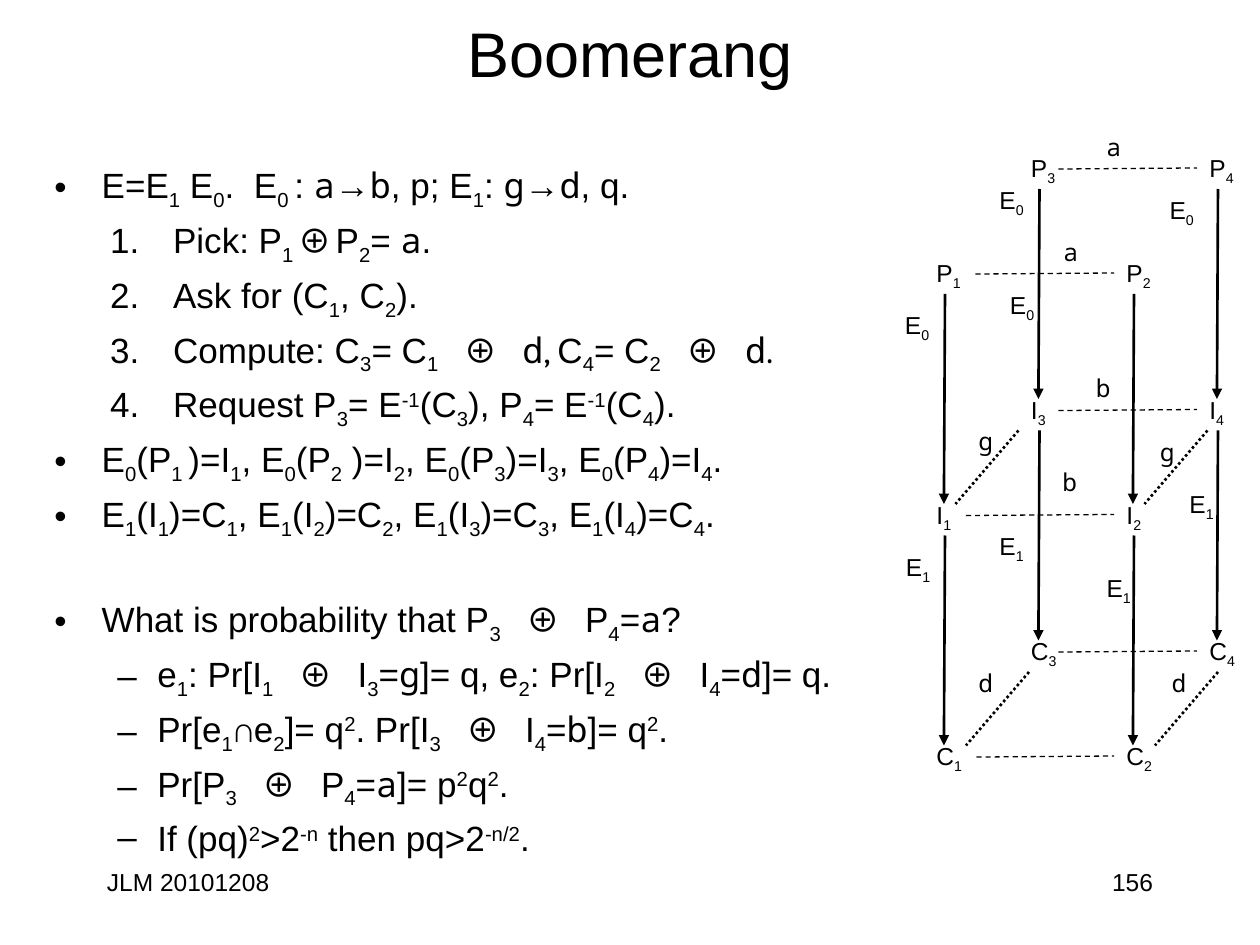
"""Build the Boomerang attack slide."""
import dataclasses

import lxml.etree
import pptx
import pptx.dml.color
import pptx.enum.dml
import pptx.enum.shapes
import pptx.enum.text
import pptx.oxml.ns
import pptx.util


@dataclasses.dataclass(frozen=True)
class Theme:
    ink: pptx.dml.color.RGBColor = pptx.dml.color.RGBColor(0, 0, 0)
    sans: str = "Arial"
    mono: str = "Noto Sans Mono"
    serif: str = "Cambria"
    head: int = 36
    body: int = 20
    small: int = 14


theme = Theme()
px = 7620
qn = pptx.oxml.ns.qn
align = pptx.enum.text.PP_ALIGN
dash = pptx.enum.dml.MSO_LINE

deck = pptx.Presentation()
deck.slide_width, deck.slide_height = 1200 * px, 900 * px
slide = deck.slides.add_slide(deck.slide_layouts[5])
shapes = slide.shapes


def write(para, text, size):
    """Fill a paragraph: _ lowers, ^ raises, ~ is mono, % is serif."""
    fonts = {"~": theme.mono, "%": theme.serif}
    shifts = {"_": "-25000", "^": "30000"}
    for part in text.split("|"):
        mark = part[0] if part[0] in "_^~%" else ""
        run = para.add_run()
        run.text = part[len(mark):]
        run.font.name = fonts.get(mark, theme.sans)
        run.font.size = pptx.util.Pt(size)
        run.font.color.rgb = theme.ink
        if mark in shifts:
            run.font._element.set("baseline", shifts[mark])


def draw(x1, y1, x2, y2, width, style=None, arrow=False):
    """Draw a plain, dashed or arrowed line."""
    line = shapes.add_connector(pptx.enum.shapes.MSO_CONNECTOR.STRAIGHT,
                                x1 * px, y1 * px, x2 * px, y2 * px)
    line.line.color.rgb = theme.ink
    line.line.width = pptx.util.Pt(width)
    if style:
        line.line.dash_style = style
    props = line.element.spPr
    if arrow:
        lxml.etree.SubElement(props.find(qn("a:ln")), qn("a:tailEnd"), type="triangle")
    lxml.etree.SubElement(props, qn("a:effectLst"))


title = shapes.title
title.left, title.top, title.width, title.height = 90 * px, 0, 1020 * px, 100 * px
title.text_frame.vertical_anchor = pptx.enum.text.MSO_ANCHOR.MIDDLE
title.text_frame.paragraphs[0].alignment = align.CENTER
write(title.text_frame.paragraphs[0], "Boomerang", theme.head)

kinds = {
    "dot": (0, 45, 45, "a:buChar", {"char": "•"}),
    "step": (1, 113, 60, "a:buAutoNum", {"type": "arabicPeriod"}),
    "sub": (1, 98, 38, "a:buChar", {"char": "–"}),
}
lines = [
    ("dot", "E=E|_1| E|_0|.  E|_0 |: |~a|→|~b|, p; E|_1|: |~g|→|~d|, q."),
    ("step", "Pick: P|_1|~⊕|P|_2|= |~a|."),
    ("step", "Ask for (C|_1|, C|_2|)."),
    ("step", "Compute: C|_3|= C|_1|~ ⊕ d|%, |C|_4|= C|_2|~ ⊕ d|%."),
    ("step", "Request P|_3|= E|^-1|(C|_3|), P|_4|= E|^-1|(C|_4|)."),
    ("dot", "E|_0|(P|_1 |)=I|_1|, E|_0|(P|_2| )=I|_2|, E|_0|(P|_3|)=I|_3|, E|_0|(P|_4|)=I|_4|."),
    ("dot", "E|_1|(I|_1|)=C|_1|, E|_1|(I|_2|)=C|_2|, E|_1|(I|_3|)=C|_3|, E|_1|(I|_4|)=C|_4|."),
    ("dot", "What is probability that P|_3|~ ⊕ |P|_4|=|~a|?"),
    ("sub", "e|_1|: Pr[I|_1|~ ⊕ |I|_3|=|~g|]= q, e|_2|: Pr[I|_2|~ ⊕ |I|_4|=|~d|]= q."),
    ("sub", "Pr[e|_1|~∩|e|_2|]= q|^2|. Pr[I|_3|~ ⊕ |I|_4|=|~b|]= q|^2|."),
    ("sub", "Pr[P|_3|~ ⊕ |P|_4|=|~a|]= p|^2|q|^2|."),
    ("sub", "If (pq)|^2|>2|^-n| then pq>2|^-n/2|."),
]
frame = shapes.add_textbox(40 * px, 150 * px, 810 * px, 680 * px).text_frame
frame.word_wrap = True
for row, (kind, text) in enumerate(lines):
    para = frame.add_paragraph() if row else frame.paragraphs[0]
    level, left, hang, tag, attrs = kinds[kind]
    para.level = level
    props = para._p.get_or_add_pPr()
    props.set("marL", str(left * px))
    props.set("indent", str(-hang * px))
    lxml.etree.SubElement(props, qn("a:buFont"), typeface=theme.sans)
    lxml.etree.SubElement(props, qn(tag), attrs)
    if row:
        para.space_before = pptx.util.Pt(33 if text.startswith("What") else 4)
    para.font.size = pptx.util.Pt(theme.body)
    write(para, text, theme.body)

for x, text, side in ((90, "JLM 20101208", align.LEFT), (860, "156", align.RIGHT)):
    frame = shapes.add_textbox(x * px, 820 * px, 250 * px, 60 * px).text_frame
    frame.word_wrap = True
    frame.paragraphs[0].alignment = side
    write(frame.paragraphs[0], text, theme.small)

labels = [
    ("E|_0", 950, 270), ("E|_0", 940, 170), ("E|_0", 850, 289), ("E|_0", 1102, 180),
    ("E|_1", 851, 520), ("E|_1", 940, 500), ("E|_1", 1121, 460), ("E|_1", 1042, 540),
    ("~a", 1001, 220), ("~a", 1042, 120), ("~b", 1032, 349), ("~b", 1000, 439),
    ("~g", 920, 400), ("~g", 1093, 410), ("~d", 920, 630), ("~d", 1104, 630),
]
for name, top, gap in (("P", 240, 49), ("I", 470, 40), ("C", 700, 50)):
    for near, far, x1, x2, y in ((1, 2, 880, 1061, top), (3, 4, 970, 1140, top - 100)):
        labels += [(f"{name}|_{near}", x1, y), (f"{name}|_{far}", x2, y)]
        start = x1 + gap if near == 1 else 1008
        draw(start, y + 21, x2, y + 20, 0.75, dash.DASH)

for x, top in ((900, 280), (1080, 280), (990, 180), (1160, 180)):
    for y in (top, top + 230):
        draw(x, y, x - 1, y + 200, 1.5, arrow=True)

for x, y in ((970, 410), (1150, 410), (980, 640), (1160, 640)):
    draw(x, y, x - 60, y + 70, 1.5, dash.ROUND_DOT)

wide = {"P": 49, "I": 40, "C": 50, "E": 49, "~": 39}
for text, x, y in labels:
    frame = shapes.add_textbox(x * px, y * px, wide[text[0]] * px, 41 * px).text_frame
    frame.word_wrap = False
    frame.auto_size = pptx.enum.text.MSO_AUTO_SIZE.SHAPE_TO_FIT_TEXT
    write(frame.paragraphs[0], text, theme.small)

deck.save("out.pptx")
